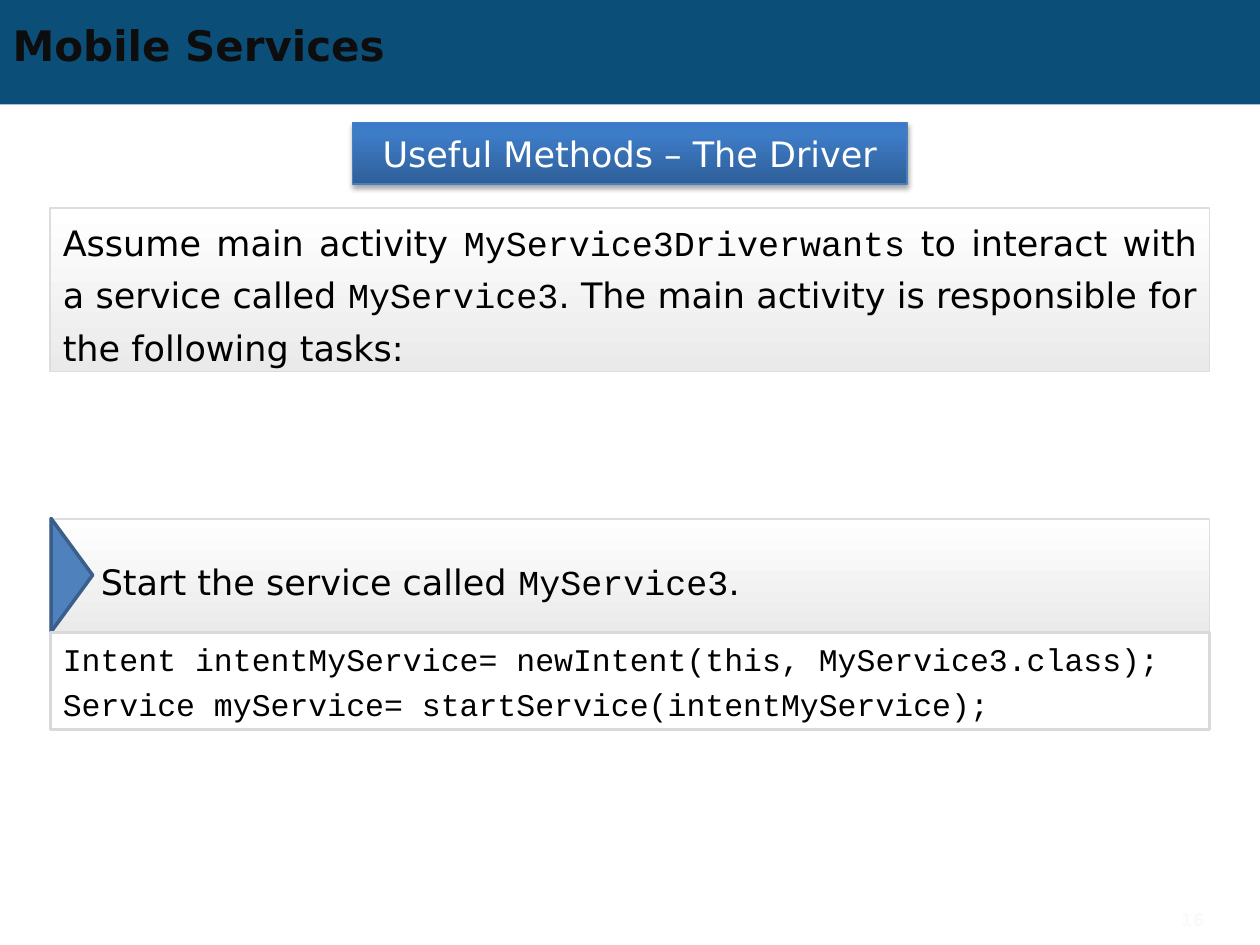
from copy import deepcopy
from dataclasses import dataclass

from lxml.etree import SubElement
from pptx import Presentation
from pptx.dml.color import RGBColor
from pptx.enum.shapes import MSO_SHAPE
from pptx.enum.text import MSO_ANCHOR, PP_ALIGN
from pptx.oxml.ns import qn
from pptx.util import Inches, Pt


@dataclass(frozen=True)
class Theme:
    sans: str = "DejaVu Sans"
    mono: str = "Courier New"
    title_size: int = 24
    body_size: int = 20
    code_size: int = 18
    number_size: int = 10
    ink: str = "000000"
    title_ink: str = "0D0D0D"
    white: str = "FFFFFF"
    number_ink: str = "FAFAFA"
    band: str = "0B4E78"
    heading_line: str = "4B7EBC"
    panel_line: str = "DDDDDD"
    code_line: str = "D9D9D9"
    marker: str = "4F81BD"
    marker_line: str = "3A5F8C"
    heading_stops: tuple = ((0, "2F5F99"), (0.8, "3D7CC7"), (1, "3A7CCB"))
    panel_stops: tuple = ((0, "FFFFFF"), (1, "EAEAEA"))


def write_text(frame, paragraphs, *, font, size, color, mono=None, bold=False,
               align=PP_ALIGN.LEFT, spacing=None, gap=0, anchor=MSO_ANCHOR.MIDDLE,
               insets=(0.1, 0.05, 0.1, 0.05)):
    frame.word_wrap = True
    frame.vertical_anchor = anchor
    (frame.margin_left, frame.margin_top,
     frame.margin_right, frame.margin_bottom) = map(Inches, insets)
    for index, pieces in enumerate(paragraphs):
        paragraph = frame.add_paragraph() if index else frame.paragraphs[0]
        paragraph.alignment = align
        paragraph.space_before = Pt(gap if index else 0)
        if spacing:
            paragraph.line_spacing = Pt(spacing)
        for position, words in enumerate(pieces):
            run = paragraph.add_run()
            run.text = words
            run.font.name = mono if position % 2 else font
            run.font.size = Pt(size)
            run.font.bold = bold
            run.font.color.rgb = RGBColor.from_string(color)


class SlideBuilder:
    def __init__(self, slide, theme):
        self.slide = slide
        self.theme = theme

    def shape(self, box, kind=MSO_SHAPE.RECTANGLE, fill=None, line=None, width=1, parent=None):
        shape = (parent or self.slide).shapes.add_shape(kind, *map(Inches, box))
        shape.shadow.inherit = False
        if fill:
            shape.fill.solid()
            shape.fill.fore_color.rgb = RGBColor.from_string(fill)
        else:
            shape.fill.background()
        if line:
            shape.line.color.rgb = RGBColor.from_string(line)
            shape.line.width = Pt(width)
        else:
            shape.line.fill.background()
        return shape

    def gradient(self, shape, stops, angle):
        shape.fill.gradient()
        shape.fill.gradient_angle = angle
        stop_list = next(shape._element.spPr.iter(qn("a:gsLst")))
        while len(stop_list) < len(stops):
            stop_list.append(deepcopy(stop_list[-1]))
        for stop, (position, color) in zip(shape.fill.gradient_stops, stops):
            stop.position = position
            stop.color.rgb = RGBColor.from_string(color)

    def title(self, words):
        band = self.shape((0, 0, 10, 0.83), fill=self.theme.band)
        title = self.slide.shapes.title
        title._element.addprevious(band._element)
        title.left, title.top, title.width, title.height = map(Inches, (0, 0.14, 9, 0.43))
        write_text(title.text_frame, [[words]], font=self.theme.sans,
                   size=self.theme.title_size, color=self.theme.title_ink, bold=True)

    def heading(self, words, box):
        heading = self.shape(box, line=self.theme.heading_line, width=0.75)
        self.gradient(heading, self.theme.heading_stops, 90)
        effects = heading._element.spPr.find(qn("a:effectLst"))
        shadow = SubElement(effects, qn("a:outerShdw"), blurRad=str(Pt(3.1)),
                            dist=str(Pt(1.8)), dir="5400000", rotWithShape="0")
        black = SubElement(shadow, qn("a:srgbClr"), val=self.theme.ink)
        SubElement(black, qn("a:alpha"), val="35000")
        write_text(heading.text_frame, [[words]], font=self.theme.sans,
                   size=self.theme.body_size, color=self.theme.white, align=PP_ALIGN.CENTER)

    def panel(self, pieces, box, parent=None, **text_format):
        panel = self.shape(box, line=self.theme.panel_line, parent=parent)
        self.gradient(panel, self.theme.panel_stops, 270)
        write_text(panel.text_frame, [pieces], font=self.theme.sans, mono=self.theme.mono,
                   size=self.theme.body_size, color=self.theme.ink,
                   align=PP_ALIGN.JUSTIFY, spacing=30, **text_format)

    def marker(self, box, parent):
        marker = self.shape(box, MSO_SHAPE.ISOSCELES_TRIANGLE, self.theme.marker,
                            self.theme.marker_line, 2, parent)
        marker.rotation = 90

    def code(self, lines, box, parent):
        code = self.shape(box, line=self.theme.code_line, width=1.5, parent=parent)
        write_text(code.text_frame, [[line] for line in lines], font=self.theme.mono,
                   size=self.theme.code_size, color=self.theme.ink, gap=4)

    def number(self, words, box):
        number = self.slide.shapes.add_textbox(*map(Inches, box))
        write_text(number.text_frame, [[words]], font=self.theme.sans, bold=True,
                   size=self.theme.number_size, color=self.theme.number_ink,
                   align=PP_ALIGN.RIGHT)


def main():
    presentation = Presentation()
    presentation.slide_width, presentation.slide_height = Inches(10), Inches(7.5)
    slide = presentation.slides.add_slide(presentation.slide_layouts[5])
    builder = SlideBuilder(slide, Theme())
    left, width = 0.4, 9.2

    builder.title("Mobile Services")
    builder.heading("Useful Methods – The Driver", (2.8, 0.97, 4.4, 0.49))
    builder.panel(
        ["Assume main activity ", "MyService3Driverwants",
         " to interact with a service called ", "MyService3",
         ". The main activity is responsible for the following tasks:"],
        (left, 1.65, width, 1.3))

    task = slide.shapes.add_group_shape()
    builder.panel(["Start the service called ", "MyService3", "."],
                  (left, 4.12, width, 0.9), task, insets=(0.4, 0, 0.1, 0))
    builder.marker((0.12, 4.4, 0.9, 0.33), task)
    builder.code(["Intent intentMyService= newIntent(this, MyService3.class);",
                  "Service myService= startService(intentMyService);"],
                 (left, 5.02, width, 0.77), task)
    builder.number("16", (9.06, 7.15, 0.6, 0.3))
    presentation.save("out.pptx")


if __name__ == "__main__":
    main()
